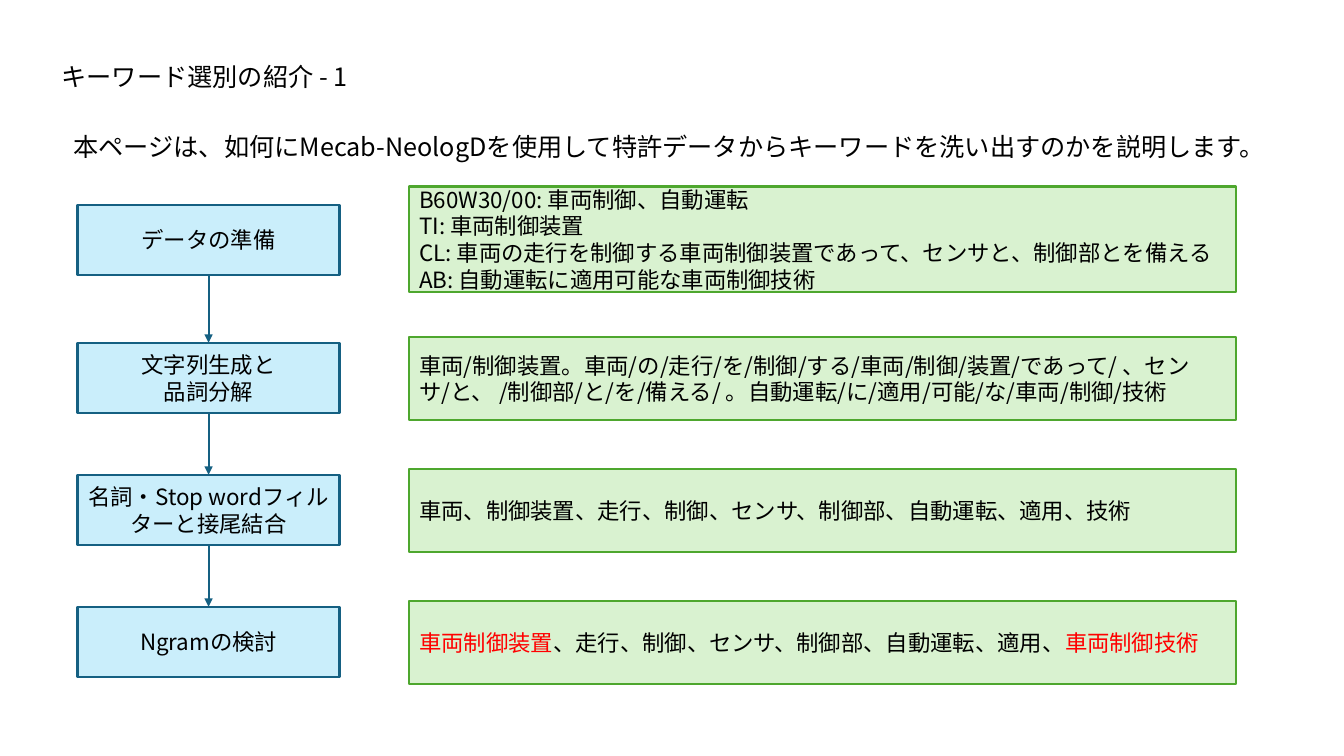
from lxml import etree
from pptx import Presentation
from pptx.dml.color import RGBColor
from pptx.enum import shapes, text
from pptx.oxml.ns import qn
from pptx.util import Pt

FONT = "Noto Sans CJK SC"
BLACK = RGBColor(0x00, 0x00, 0x00)
RED = RGBColor(0xFF, 0x00, 0x00)
BLUE_FILL = RGBColor(0xCA, 0xEE, 0xFB)
BLUE_LINE = RGBColor(0x15, 0x60, 0x82)
GREEN_FILL = RGBColor(0xD9, 0xF2, 0xD0)
GREEN_LINE = RGBColor(0x4E, 0xA7, 0x2E)


def write(tf, paragraphs, size, align=text.PP_ALIGN.LEFT, anchor=text.MSO_ANCHOR.MIDDLE):
    """Each paragraph is a list of (wording, colour) runs."""
    frame_format = {"word_wrap": True, "vertical_anchor": anchor,
                    "auto_size": text.MSO_AUTO_SIZE.NONE}
    for name, value in frame_format.items():
        setattr(tf, name, value)
    for i, runs in enumerate(paragraphs):
        p = tf.add_paragraph() if i else tf.paragraphs[0]
        p.alignment = align
        for wording, colour in runs:
            r = p.add_run()
            r.text = wording
            for name, value in {"name": FONT, "size": Pt(size)}.items():
                setattr(r.font, name, value)
            r.font.color.rgb = colour
            etree.SubElement(r.font._element, qn("a:ea"), typeface=FONT)


def add_box(left, top, width, height, fill, line, paragraphs, align):
    sp = s.shapes.add_shape(shapes.MSO_SHAPE.RECTANGLE, Pt(left), Pt(top), Pt(width), Pt(height))
    sp.shadow.inherit = False
    sp.fill.solid()
    sp.fill.fore_color.rgb = fill
    sp.line.color.rgb = line
    sp.line.width = Pt(1.5)
    write(sp.text_frame, paragraphs, 16, align)


prs = Presentation()
prs.slide_width, prs.slide_height = Pt(960), Pt(540)
s = prs.slides.add_slide(prs.slide_layouts[5])

# Title and introduction
title = s.shapes.title
title.left, title.top, title.width, title.height = Pt(36.7), Pt(40.3), Pt(837.4), Pt(29)
write(title.text_frame, [[("キーワード選別の紹介 - 1", BLACK)]], 18, anchor=text.MSO_ANCHOR.TOP)
intro = s.shapes.add_textbox(Pt(45.4), Pt(90), Pt(852.5), Pt(29))
write(intro.text_frame,
      [[("本ページは、如何にMecab-NeologDを使用して特許データからキーワードを洗い出すのかを説明します。", BLACK)]],
      18, anchor=text.MSO_ANCHOR.TOP)

# Steps: top, label lines, example top, example height, example paragraphs
STEP_LEFT, STEP_WIDTH, STEP_HEIGHT = 55.4, 187.2, 50.4
EXAMPLE_LEFT, EXAMPLE_WIDTH = 292.3, 590.4
steps = [
    (146.2, ["データの準備"], 133.2, 75.6, [
        [("B60W30/00: 車両制御、自動運転", BLACK)],
        [("TI: 車両制御装置", BLACK)],
        [("CL: 車両の走行を制御する車両制御装置であって、センサと、制御部とを備える", BLACK)],
        [("AB: 自動運転に適用可能な車両制御技術", BLACK)]]),
    (244.8, ["文字列生成と", "品詞分解"], 240.5, 59.8, [
        [("車両/制御装置。車両/の/走行/を/制御/する/車両/制御/装置/であって/ 、センサ/と、 "
          "/制御部/と/を/備える/ 。自動運転/に/適用/可能/な/車両/制御/技術", BLACK)]]),
    (339.1, ["名詞・Stop wordフィルターと接尾結合"], 334.8, 59.8, [
        [("車両、制御装置、走行、制御、センサ、制御部、自動運転、適用、技術", BLACK)]]),
    (433.4, ["Ngramの検討"], 429.1, 59.8, [
        [("車両制御装置", RED),
         ("、走行、制御、センサ、制御部、自動運転、適用、", BLACK),
         ("車両制御技術", RED)]]),
]
for top, label, example_top, example_height, example in steps:
    add_box(STEP_LEFT, top, STEP_WIDTH, STEP_HEIGHT, BLUE_FILL, BLUE_LINE,
            [[(line, BLACK)] for line in label], text.PP_ALIGN.CENTER)
    add_box(EXAMPLE_LEFT, example_top, EXAMPLE_WIDTH, example_height, GREEN_FILL, GREEN_LINE,
            example, text.PP_ALIGN.LEFT)

# Arrows from each step to the next
centre = Pt(STEP_LEFT + STEP_WIDTH / 2)
for step, following in zip(steps, steps[1:]):
    arrow = s.shapes.add_connector(shapes.MSO_CONNECTOR.STRAIGHT, centre,
                                   Pt(step[0] + STEP_HEIGHT), centre, Pt(following[0]))
    arrow.line.color.rgb = BLUE_LINE
    arrow.line.width = Pt(1.5)
    etree.SubElement(arrow.line._get_or_add_ln(), qn("a:tailEnd"), type="triangle")
    etree.SubElement(arrow._element.spPr, qn("a:effectLst"))

prs.save("out.pptx")
